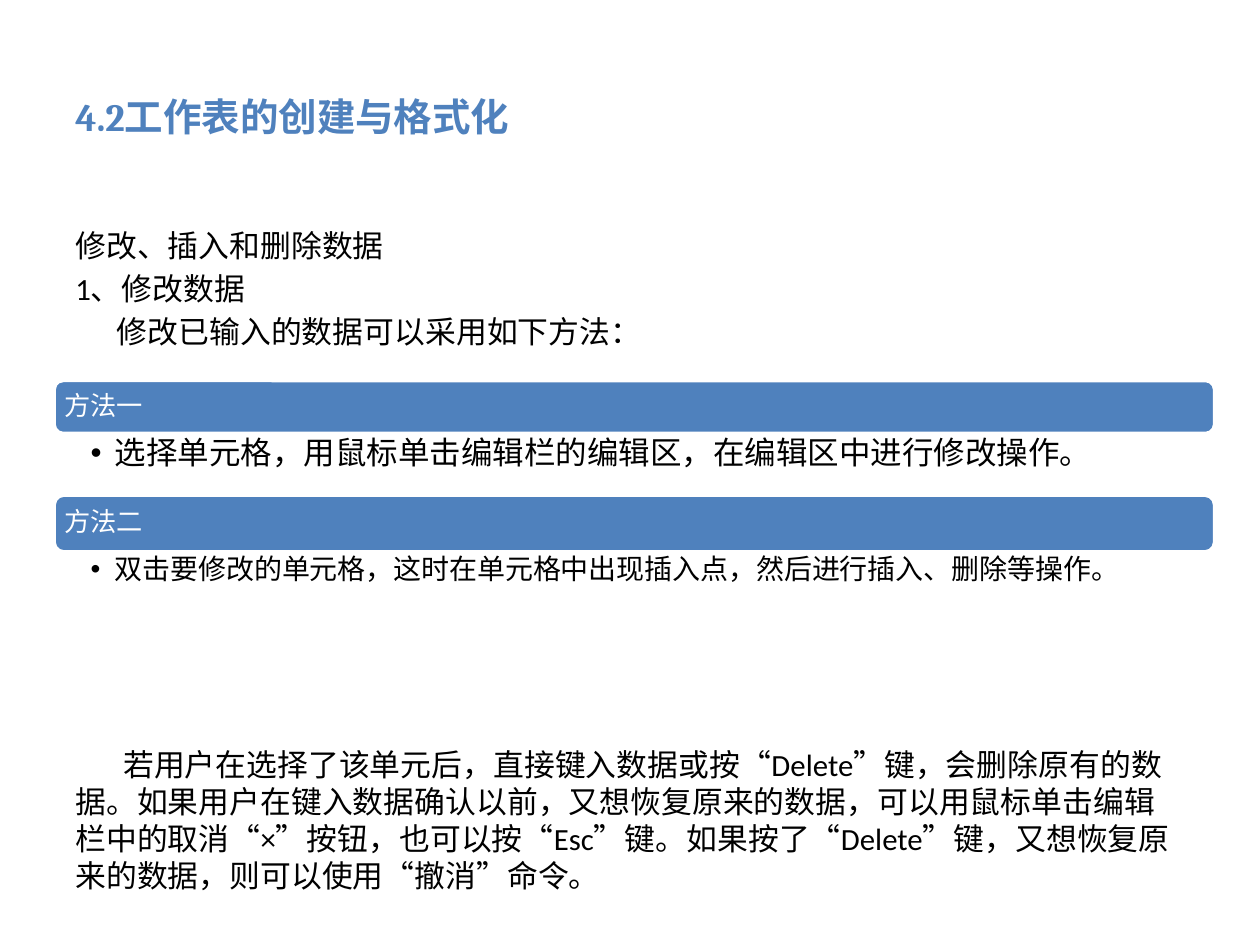
from lxml import etree
from pptx import Presentation
from pptx import util as u
from pptx.dml.color import RGBColor
from pptx.enum import shapes, text
from pptx.oxml.ns import qn

WIDTH, HEIGHT = 10, 7.5
BLUE, WHITE, BLACK = "4F81BD", "FFFFFF", "000000"
MARGIN = 0.5
BAR_LEFT, BAR_WIDTH = 0.43, 9.21
INTRO = [
    ("修改、插入和删除数据", 0),
    ("1、修改数据", 0),
    ("修改已输入的数据可以采用如下方法：", 0.33),
]
CLOSING = [(
    "若用户在选择了该单元后，直接键入数据或按“Delete”键，会删除原有的数据。"
    "如果用户在键入数据确认以前，又想恢复原来的数据，可以用鼠标单击编辑栏中的取消“×”按钮，"
    "也可以按“Esc”键。如果按了“Delete”键，又想恢复原来的数据，则可以使用“撤消”命令。",
    0.38,
)]
METHODS = [
    ("方法一", 3.02, 0.42, "选择单元格，用鼠标单击编辑栏的编辑区，在编辑区中进行修改操作。", 18),
    ("方法二", 3.93, 0.45, "双击要修改的单元格，这时在单元格中出现插入点，然后进行插入、删除等操作。", 16),
]


def color(code):
    return RGBColor.from_string(code)


def set_font(para, size, code, name="Calibri", bold=False):
    font = para.font
    font.name, font.size, font.bold = name, u.Pt(size), bold
    font.color.rgb = color(code)


def set_frame(shape, sides, ends, anchor):
    frame = shape.text_frame
    frame.word_wrap = True
    frame.vertical_anchor = anchor
    frame.margin_left = frame.margin_right = u.Inches(sides)
    frame.margin_top = frame.margin_bottom = u.Inches(ends)
    return frame


def add_box(page, left, top, width, height, sides=0.1, ends=0.05, anchor=text.MSO_ANCHOR.TOP):
    box = page.shapes.add_textbox(*map(u.Inches, (left, top, width, height)))
    return set_frame(box, sides, ends, anchor)


def indent(para, left, first):
    props = para._p.get_or_add_pPr()
    props.set("marL", str(u.Inches(left)))
    props.set("indent", str(u.Inches(first)))
    return props


def add_title(page, words):
    frame = add_box(page, MARGIN, 0.3, WIDTH - 2 * MARGIN, 1.25, anchor=text.MSO_ANCHOR.MIDDLE)
    para = frame.paragraphs[0]
    para.text = words
    set_font(para, 22, BLUE, "Cambria", True)


def add_body(page, top, height, lines):
    frame = add_box(page, MARGIN, top, WIDTH - 2 * MARGIN, height)
    for index, (words, first) in enumerate(lines):
        para = frame.add_paragraph() if index else frame.paragraphs[0]
        para.text = words
        indent(para, 0, first)
        para.line_spacing = u.Pt(21.1)
        para.space_before = u.Pt(3.5 if index else 0)
        set_font(para, 17.6, BLACK)


def add_bar(page, top, height, words):
    place = map(u.Inches, (BAR_LEFT, top, BAR_WIDTH, height))
    bar = page.shapes.add_shape(shapes.MSO_SHAPE.ROUNDED_RECTANGLE, *place)
    bar.shadow.inherit = False
    bar.fill.solid()
    bar.fill.fore_color.rgb = color(BLUE)
    bar.line.color.rgb = color(WHITE)
    bar.line.width = u.Pt(2)
    para = set_frame(bar, 0.06, 0.06, text.MSO_ANCHOR.MIDDLE).paragraphs[0]
    para.text = words
    para.alignment = text.PP_ALIGN.LEFT
    para.line_spacing = 0.9
    set_font(para, 15, WHITE)


def add_bullet(page, top, words, size):
    frame = add_box(page, BAR_LEFT, top, BAR_WIDTH, 0.48, 0.29, 0.03)
    frame.margin_right = u.Inches(0.12)
    para = frame.paragraphs[0]
    para.text = words
    para.line_spacing = 0.9
    props = indent(para, 0.19, -0.19)
    etree.SubElement(props, qn("a:buFont"), typeface="Arial")
    etree.SubElement(props, qn("a:buChar"), char="•")
    set_font(para, size, BLACK)


def main():
    deck = Presentation()
    deck.slide_width, deck.slide_height = u.Inches(WIDTH), u.Inches(HEIGHT)
    page = deck.slides.add_slide(deck.slide_layouts[6])
    add_title(page, "4.2工作表的创建与格式化")
    add_body(page, 1.75, 1.1, INTRO)
    for name, top, height, words, size in METHODS:
        add_bar(page, top, height, name)
        add_bullet(page, top + height, words, size)
    add_body(page, 5.87, 1.3, CLOSING)
    deck.save("out.pptx")


if __name__ == "__main__":
    main()
